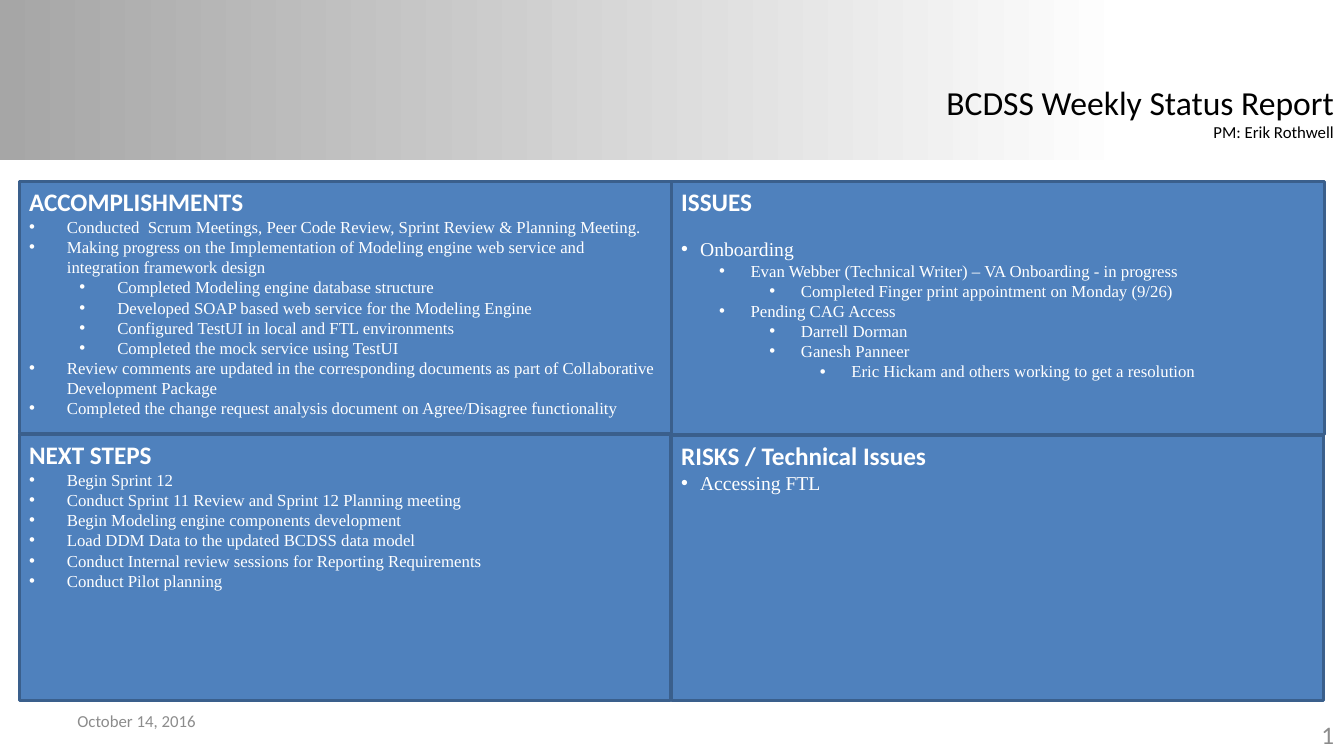
"""Build the weekly status report slide with its four panels."""
from dataclasses import dataclass

from lxml import etree
from pptx import Presentation
from pptx.dml.color import RGBColor
from pptx.enum.shapes import MSO_SHAPE
from pptx.enum.text import MSO_ANCHOR, PP_ALIGN
from pptx.oxml.ns import qn
from pptx.util import Pt

RECT = MSO_SHAPE.RECTANGLE
TOP, MIDDLE = MSO_ANCHOR.TOP, MSO_ANCHOR.MIDDLE
LEFT, RIGHT = PP_ALIGN.LEFT, PP_ALIGN.RIGHT
SANS, SERIF = "Calibri", "Times New Roman"
SLIDE_W, SLIDE_H = 960, 540
LEVEL_STEP = 36
COLORS = {
    "band": "A6A6A6",
    "white": "FFFFFF",
    "black": "000000",
    "panel": "4F81BD",
    "border": "3A5F8C",
    "footer": "8C8C8C",
}


@dataclass(frozen=True)
class Box:
    left: float
    top: float
    width: float
    height: float


@dataclass(frozen=True)
class BulletStyle:
    size: float
    indent: float
    sub_hang: float


@dataclass(frozen=True)
class Item:
    text: str
    level: int = 0


@dataclass(frozen=True)
class Panel:
    box: Box
    heading: str
    style: BulletStyle
    items: tuple[Item, ...]
    gap: float = 0


@dataclass(frozen=True)
class Label:
    box: Box
    lines: tuple[tuple[str, float], ...]
    color: str
    align: PP_ALIGN
    anchor: MSO_ANCHOR
    wrap: bool = True


DETAIL = BulletStyle(size=12, indent=27, sub_hang=27)
TOPIC = BulletStyle(size=14, indent=13.5, sub_hang=22.5)

PANELS = (
    Panel(Box(13.7, 129.6, 465.8, 180), "ACCOMPLISHMENTS", DETAIL, (
        Item("Conducted  Scrum Meetings, Peer Code Review, Sprint Review & Planning Meeting."),
        Item("Making progress on the Implementation of Modeling engine web service and "
             "integration framework design"),
        Item("Completed Modeling engine database structure", 1),
        Item("Developed SOAP based web service for the Modeling Engine", 1),
        Item("Configured TestUI in local and FTL environments", 1),
        Item("Completed the mock service using TestUI", 1),
        Item("Review comments are updated in the corresponding documents as part of "
             "Collaborative Development Package"),
        Item("Completed the change request analysis document on Agree/Disagree functionality"),
    )),
    Panel(Box(13.7, 310.3, 465.1, 190.1), "NEXT STEPS", DETAIL, (
        Item("Begin Sprint 12"),
        Item("Conduct Sprint 11 Review and Sprint 12 Planning meeting"),
        Item("Begin Modeling engine components development"),
        Item("Load DDM Data to the updated BCDSS data model"),
        Item("Conduct Internal review sessions for Reporting Requirements"),
        Item("Conduct Pilot planning"),
    )),
    Panel(Box(479.5, 129.6, 466.6, 180.7), "ISSUES", TOPIC, (
        Item("Onboarding"),
        Item("Evan Webber (Technical Writer) – VA Onboarding - in progress", 1),
        Item("Completed Finger print appointment on Monday (9/26)", 2),
        Item("Pending CAG Access", 1),
        Item("Darrell Dorman", 2),
        Item("Ganesh Panneer", 2),
        Item("Eric Hickam and others working to get a resolution", 3),
    ), gap=14.4),
    Panel(Box(479.5, 311, 465.8, 189.4), "RISKS / Technical Issues", TOPIC, (
        Item("Accessing FTL"),
    )),
)

LABELS = (
    Label(Box(736, 510.5, 224, 28.8), (("1", 18),), "footer", RIGHT, MIDDLE),
    Label(Box(666, 54.7, 294, 51.1),
          (("BCDSS Weekly Status Report", 24), ("PM: Erik Rothwell", 12)),
          "black", RIGHT, TOP, wrap=False),
    Label(Box(48.2, 500.4, 224, 28.8), (("October 14, 2016", 12),), "footer", LEFT, MIDDLE),
)


def rgb(name: str) -> RGBColor:
    """Look up a named colour."""
    return RGBColor.from_string(COLORS[name])


def place(box: Box) -> tuple[Pt, Pt, Pt, Pt]:
    """Convert a box to lengths."""
    return Pt(box.left), Pt(box.top), Pt(box.width), Pt(box.height)


def add_rect(slide, box: Box):
    """Add a rectangle without shadow."""
    s = slide.shapes.add_shape(RECT, *place(box))
    s.shadow.inherit = False
    return s


def add_line(tf, index: int, text: str, size: float, font: str, color: str, align: PP_ALIGN):
    """Write one paragraph, reusing the first empty one."""
    p = tf.add_paragraph() if index else tf.paragraphs[0]
    p.text = text
    p.alignment = align
    p.font.size, p.font.name = Pt(size), font
    p.font.color.rgb = rgb(color)
    return p


def add_bullet(p, margin: float, hang: float) -> None:
    """Give a paragraph a hanging round bullet."""
    pPr = p._p.get_or_add_pPr()
    pPr.set("marL", str(Pt(margin)))
    pPr.set("indent", str(-Pt(hang)))
    bullet_font = etree.Element(qn("a:buFont"), typeface="Arial")
    bullet = etree.Element(qn("a:buChar"), char="•")
    pPr.insert_element_before(bullet_font, "a:buChar", "a:tabLst", "a:defRPr", "a:extLst")
    pPr.insert_element_before(bullet, "a:tabLst", "a:defRPr", "a:extLst")


def add_header(slide) -> None:
    """Draw the fading band at the top."""
    s = add_rect(slide, Box(0, 0, SLIDE_W, 114))
    s.line.fill.background()
    s.fill.gradient()
    s.fill.gradient_angle = 0
    for stop, (position, color) in zip(s.fill.gradient_stops, ((0, "band"), (0.84, "white"))):
        stop.position = position
        stop.color.rgb = rgb(color)


def add_panel(slide, panel: Panel) -> None:
    """Draw a panel with its heading and bullets."""
    s = add_rect(slide, panel.box)
    s.fill.solid()
    s.fill.fore_color.rgb = rgb("panel")
    s.line.color.rgb = rgb("border")
    s.line.width = Pt(2)
    tf = s.text_frame
    tf.word_wrap, tf.vertical_anchor = True, TOP
    add_line(tf, 0, panel.heading, 18, SANS, "white", LEFT).font.bold = True
    style = panel.style
    for i, item in enumerate(panel.items, 1):
        size, hang = (12, style.sub_hang) if item.level else (style.size, style.indent)
        p = add_line(tf, i, item.text, size, SERIF, "white", LEFT)
        p.level = item.level
        if i == 1 and panel.gap:
            p.space_before = Pt(panel.gap)
        add_bullet(p, style.indent + LEVEL_STEP * item.level, hang)


def add_label(slide, label: Label) -> None:
    """Draw a plain text label."""
    tf = slide.shapes.add_textbox(*place(label.box)).text_frame
    tf.word_wrap, tf.vertical_anchor = label.wrap, label.anchor
    for i, (text, size) in enumerate(label.lines):
        add_line(tf, i, text, size, SANS, label.color, label.align)


def main() -> None:
    """Create and save the slide."""
    prs = Presentation()
    prs.slide_width, prs.slide_height = Pt(SLIDE_W), Pt(SLIDE_H)
    slide = prs.slides.add_slide(prs.slide_layouts[6])
    add_header(slide)
    for panel in PANELS:
        add_panel(slide, panel)
    for label in LABELS:
        add_label(slide, label)
    prs.save("out.pptx")


if __name__ == "__main__":
    main()
